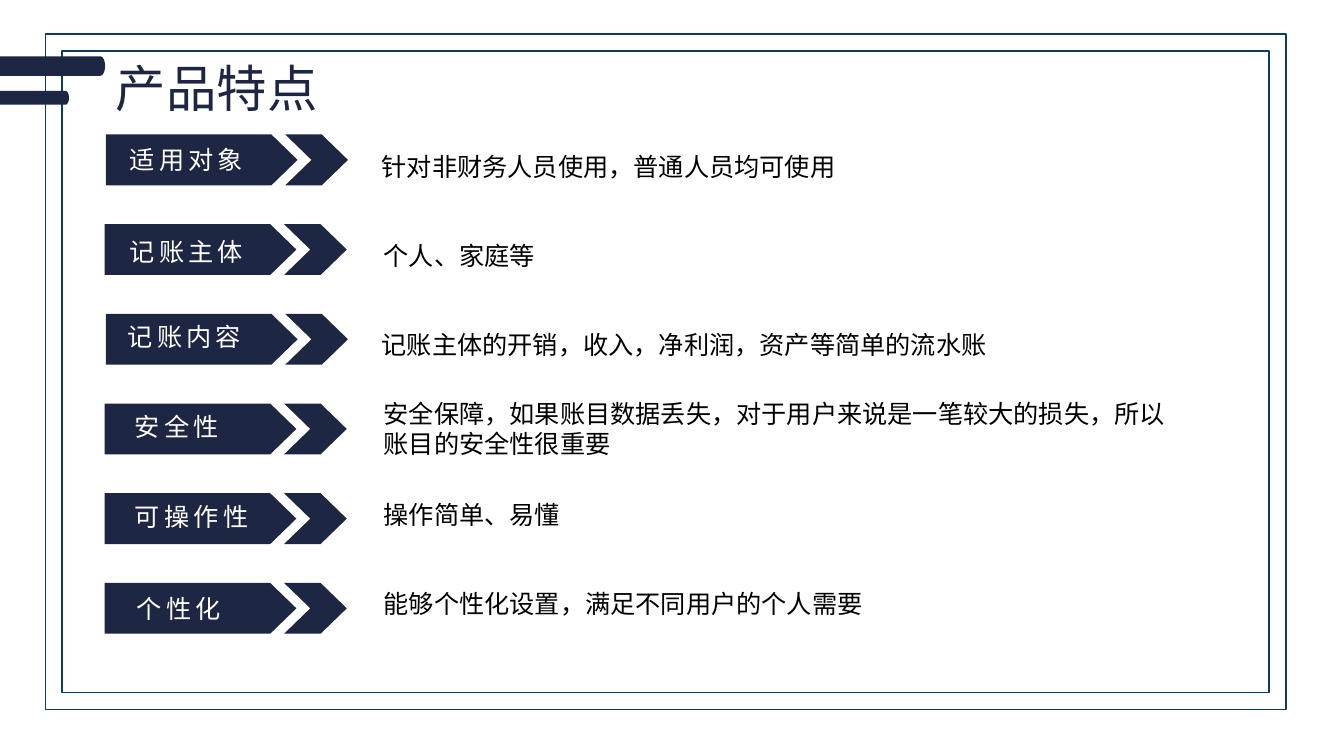
from math import cos, pi, sin

from lxml import etree
from pptx import Presentation
from pptx.dml.color import RGBColor
from pptx.enum.shapes import MSO_SHAPE
from pptx.enum.text import MSO_AUTO_SIZE, PP_ALIGN
from pptx.oxml.ns import qn
from pptx.util import Cm, Pt

FRAME = MSO_SHAPE.FRAME
GROW = MSO_AUTO_SIZE.SHAPE_TO_FIT_TEXT
LEFT, JUSTIFY = PP_ALIGN.LEFT, PP_ALIGN.JUSTIFY

NAVY, BORDER, WHITE, BLACK = "1D2643", "0B3D60", "FFFFFF", "000000"
TITLE = {"name": "Noto Sans CJK SC", "size": Pt(36)}
LABEL = {"name": "Arial", "size": Pt(18)}
BODY = {"name": "Calibri", "size": Pt(18)}

WIDE = {"line_spacing": 1.5}
PLAIN = {"alignment": LEFT}
JUSTIFIED = {"alignment": JUSTIFY}

ROW_TOP, ROW_PITCH, ROW_H = 3.39, 2.26, 1.28
FEATURES = [
    (2.67, "适用对象", (3.02, 3.51, 4.98, 1.02),
     "针对非财务人员使用，普通人员均可使用", (9.37, 3.3, 23.29, 1.27), WIDE, True),
    (2.64, "记账主体", (3.02, 5.84, 5.18, 1.02),
     "个人、家庭等", (9.42, 5.54, 22.83, 1.3), WIDE, True),
    (2.67, "记账内容", (2.97, 7.98, 4.98, 1.02),
     "记账主体的开销，收入，净利润，资产等简单的流水账", (9.37, 7.8, 22.83, 1.27), WIDE, True),
    (2.64, "安全性", (3.15, 10.24, 4.98, 1.02),
     "安全保障，如果账目数据丢失，对于用户来说是一笔较大的损失，所以账目的安全性很重要",
     (9.42, 9.91, 20.73, 2.57), PLAIN, True),
    (2.64, "可操作性", (3.15, 12.5, 4.98, 1.02),
     "操作简单、易懂", (9.42, 12.47, 23.29, 1.02), JUSTIFIED, True),
    (2.64, "个性化", (3.2, 14.83, 4.98, 1.02),
     "能够个性化设置，满足不同用户的个人需要", (9.42, 14.71, 12.7, 1.02), PLAIN, False),
]


def rgb(value):
    return RGBColor.from_string(value)


def apply(target, values):
    for name, value in values.items():
        setattr(target, name, value)


def bar(top, height, width, radius):
    mid, half = top + height / 2, height / 2
    cap = [(width - radius + radius * cos(a), mid + half * sin(a))
           for a in (pi * (i / 12 - 0.5) for i in range(13))]
    return [(0, top), *cap, (0, top + height)]


def arrow_pair(left, top):
    mid, bottom = top + ROW_H / 2, top + ROW_H
    tag = [(0, top), (4.17, top), (4.83, mid), (4.17, bottom), (0, bottom)]
    chevron = [(4.52, top), (5.44, top), (6.1, mid),
               (5.44, bottom), (4.52, bottom), (5.18, mid)]
    return [[(left + x, y) for x, y in part] for part in (tag, chevron)]


class SlideBuilder:
    def __init__(self, prs):
        self.s = prs.slides.add_slide(prs.slide_layouts[6])

    def frame(self, box, ratio):
        sp = self.s.shapes.add_shape(FRAME, *map(Cm, box))
        sp.adjustments[0] = ratio
        sp.shadow.inherit = False
        sp.fill.background()
        sp.line.color.rgb = rgb(BORDER)
        sp.line.width = Pt(1)

    def outline(self, contours):
        paths = [[(Cm(x), Cm(y)) for x, y in points] for points in contours]
        builder = self.s.shapes.build_freeform(*paths[0][0])
        for points in paths:
            builder.move_to(*points[0])
            builder.add_line_segments(points[1:], close=True)
        sp = builder.convert_to_shape()
        sp.shadow.inherit = False
        sp.fill.solid()
        sp.fill.fore_color.rgb = rgb(NAVY)
        sp.line.fill.background()

    def text(self, box, words, font, color, para=PLAIN, spacing=0, wrap=True):
        tf = self.s.shapes.add_textbox(*map(Cm, box)).text_frame
        apply(tf, {"word_wrap": wrap, "auto_size": GROW})
        p = tf.paragraphs[0]
        apply(p, para)
        r = p.add_run()
        r.text = words
        apply(r.font, font)
        r.font.color.rgb = rgb(color)
        props = r._r.get_or_add_rPr()
        props.set("lang", "zh-CN")
        etree.SubElement(props, qn("a:ea")).set("typeface", font["name"])
        if spacing:
            props.set("spc", str(spacing * 100))


def main():
    prs = Presentation()
    prs.slide_width, prs.slide_height = Cm(33.87), Cm(19.05)
    slide = SlideBuilder(prs)
    slide.frame((1.14, 0.86, 31.27, 17.02), 0.025)
    slide.outline([bar(1.42, 0.49, 2.65, 0.12), bar(2.29, 0.35, 1.74, 0.09)])
    slide.text((2.67, 1.32, 7.11, 1.8), "产品特点", TITLE, NAVY)
    for i, (left, label, label_box, words, box, para, wrap) in enumerate(FEATURES):
        slide.outline(arrow_pair(left, ROW_TOP + i * ROW_PITCH))
        slide.text(label_box, label, LABEL, WHITE, spacing=3)
        slide.text(box, words, BODY, BLACK, para, wrap=wrap)
    prs.save("out.pptx")


if __name__ == "__main__":
    main()
